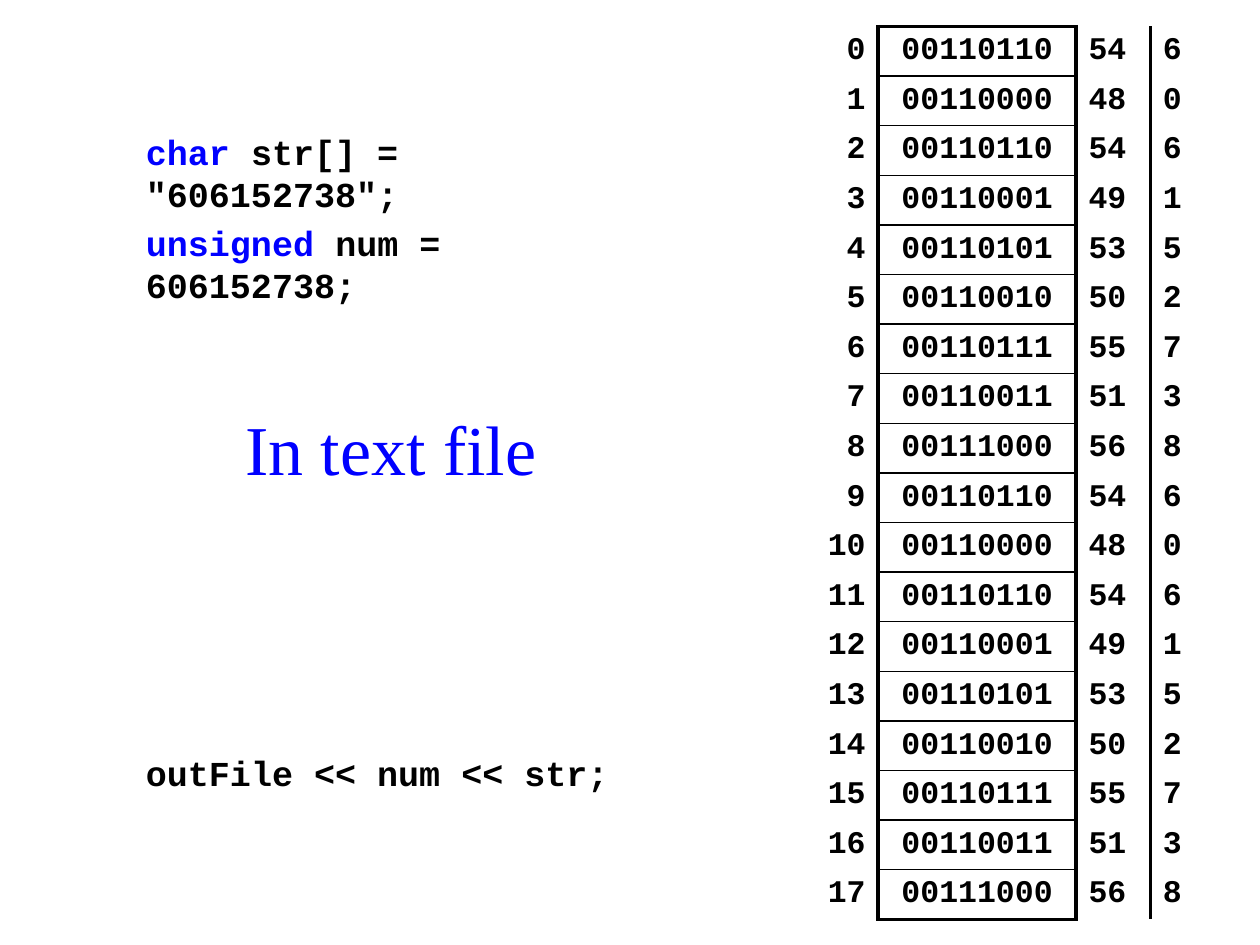
from lxml import etree
from pptx import Presentation
from pptx import util as u
from pptx.dml.color import RGBColor
from pptx.enum import text as t
from pptx.oxml import ns

BLACK = RGBColor(0, 0, 0)
BLUE = RGBColor(0, 0, 255)
WHITE = RGBColor(255, 255, 255)
CODE_FONT = "Courier New"
LABEL_FONT = "Times New Roman"

WIDTH, HEIGHT = 10, 7.5
NUMBER = "606152738"
STORED_TEXT = NUMBER * 2  # num and str, written one after the other
COLUMN_WIDTHS = (0.59, 1.57, 0.59, 0.39)
THICK, THIN = 2.25, 1
NO_STYLE = "{2D5ABB26-0587-4C30-8999-92F81FD0307C}"


def add_span(para, words, size, color=BLACK, font=CODE_FONT, bold=True):
    """Add formatted text to a paragraph."""
    span = para.add_run()
    span.text = words
    span.font.name = font
    span.font.size = u.Pt(size)
    span.font.bold = bold
    span.font.color.rgb = color


def add_text(page, box, lines, size, anchor=t.MSO_ANCHOR.TOP, **style):
    """Place lines, each a list of (words, color), in box."""
    frame = page.shapes.add_textbox(*map(u.Inches, box)).text_frame
    frame.word_wrap = True
    frame.vertical_anchor = anchor
    for index, line in enumerate(lines):
        para = frame.paragraphs[0] if index == 0 else frame.add_paragraph()
        para.space_before = u.Pt(size * 0.2)
        for words, color in line:
            add_span(para, words, size, color, **style)


def set_borders(cell, **widths):
    """Draw black cell borders; sides are L, R, T and B, widths in points."""
    properties = cell._tc.get_or_add_tcPr()
    present = [side for side in "LRTB" if side in widths]
    for position, side in enumerate(present):
        line = etree.Element(ns.qn(f"a:ln{side}"), w=str(u.Pt(widths[side])))
        fill = etree.SubElement(line, ns.qn("a:solidFill"))
        etree.SubElement(fill, ns.qn("a:srgbClr"), val=str(BLACK))
        properties.insert(position, line)


def add_byte_table(page, box):
    """List each stored byte: address, bits, character code, character."""
    count = len(STORED_TEXT)
    graphic = page.shapes.add_table(count, len(COLUMN_WIDTHS), *map(u.Inches, box))
    table = graphic.table
    table.first_row = table.horz_banding = False
    next(graphic.element.iter(ns.qn("a:tableStyleId"))).text = NO_STYLE
    for column, width in zip(table.columns, COLUMN_WIDTHS):
        column.width = u.Inches(width)
    aligns = (t.PP_ALIGN.RIGHT, t.PP_ALIGN.CENTER, t.PP_ALIGN.LEFT, t.PP_ALIGN.LEFT)

    for address, digit in enumerate(STORED_TEXT):
        table.rows[address].height = u.Inches(box[3] / count)
        code = ord(digit)
        values = (str(address), f"{code:08b}", str(code), digit)
        cells = table.rows[address].cells
        for cell, value, align in zip(cells, values, aligns):
            cell.fill.background()
            cell.vertical_anchor = t.MSO_ANCHOR.MIDDLE
            cell.margin_top = cell.margin_bottom = u.Inches(0.04)
            para = cell.text_frame.paragraphs[0]
            para.alignment = align
            add_span(para, value, 18)
        # Thick frame around the bits, thin rules between bytes
        set_borders(cells[0], R=THICK)
        set_borders(
            cells[1], L=THICK, R=THICK,
            T=THICK if address == 0 else THIN,
            B=THICK if address == count - 1 else THIN,
        )
        set_borders(cells[2], L=THICK)


def add_code_column(page, box):
    """Stack declarations, label and output statement in box."""
    left, top, width, height = box
    declarations = [
        [("char", BLUE), (f' str[] = "{NUMBER}";', BLACK)],
        [("unsigned", BLUE), (f" num = {NUMBER};", BLACK)],
    ]
    row = height / 13.5
    add_text(page, (left, top, width, 2 * row), declarations, 20)
    add_text(page, (left + 2 * row, top + 5.5 * row, 6.5 * row, 2 * row),
             [[("In text file", BLUE)]], 40, anchor=t.MSO_ANCHOR.MIDDLE,
             font=LABEL_FONT, bold=False)
    add_text(page, (left, top + 12.5 * row, 10 * row, row),
             [[("outFile << num << str;", BLACK)]], 20)


def main():
    deck = Presentation()
    deck.slide_width, deck.slide_height = u.Inches(WIDTH), u.Inches(HEIGHT)
    page = deck.slides.add_slide(deck.slide_layouts[6])
    page.background.fill.solid()
    page.background.fill.fore_color.rgb = WHITE
    add_code_column(page, (1.06, 0.99, 4.33, 5.32))
    add_byte_table(page, (6.38, 0.21, sum(COLUMN_WIDTHS), 7.09))
    deck.save("out.pptx")


if __name__ == "__main__":
    main()
